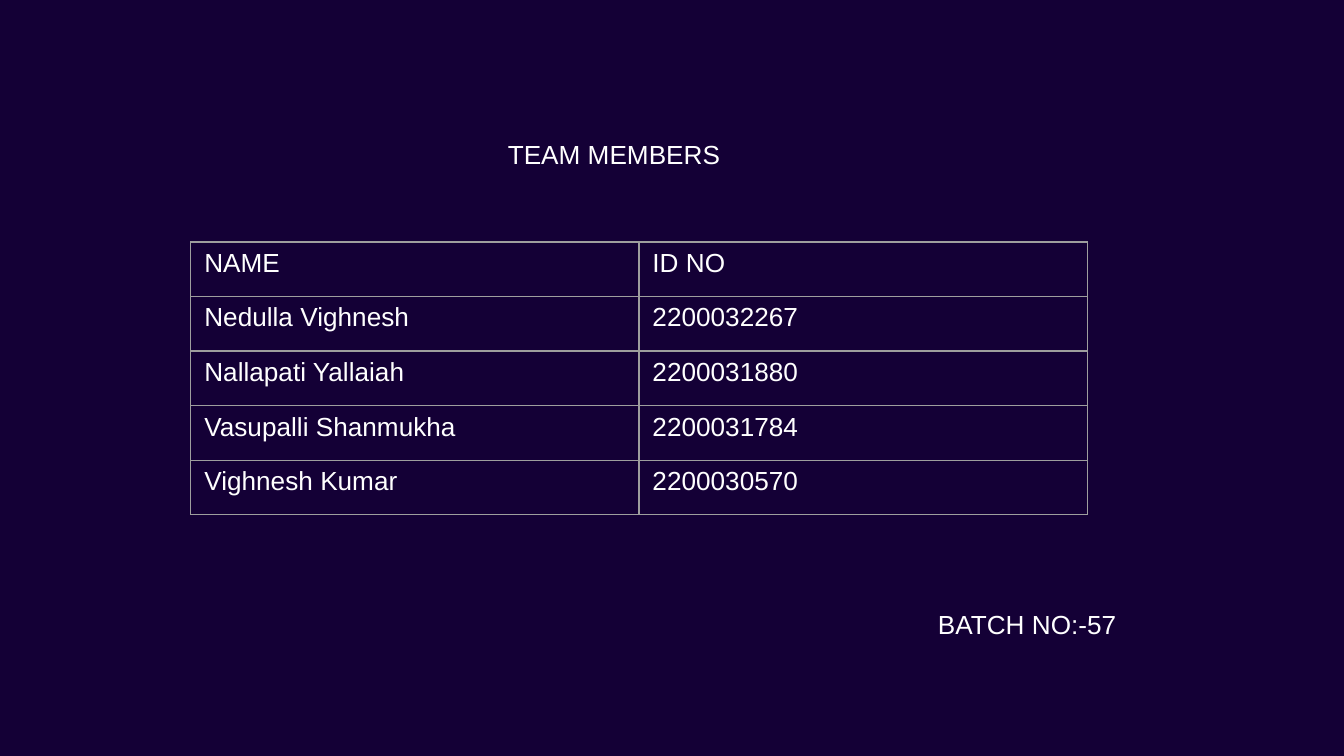
from lxml.etree import SubElement
from pptx import Presentation
from pptx.dml.color import RGBColor
from pptx.enum.text import MSO_AUTO_SIZE
from pptx.oxml.ns import qn
from pptx.util import Inches, Pt

NAVY = RGBColor(0x14, 0x00, 0x36)
WHITE = RGBColor(0xFF, 0xFF, 0xFF)
GREY = RGBColor(0x9E, 0x9E, 0x9E)

MEMBERS = [
    ("NAME", "ID NO"),
    ("Nedulla Vighnesh", "2200032267"),
    ("Nallapati Yallaiah", "2200031880"),
    ("Vasupalli Shanmukha", "2200031784"),
    ("Vighnesh Kumar", "2200030570"),
]


def write(frame, text):
    run = frame.paragraphs[0].add_run()
    run.text = text
    run.font.name = "Arial"
    run.font.size = Pt(14)
    run.font.color.rgb = WHITE


def add_label(slide, text, left, top, width, height):
    box = slide.shapes.add_textbox(
        Inches(left), Inches(top), Inches(width), Inches(height))
    box.text_frame.word_wrap = True
    box.text_frame.auto_size = MSO_AUTO_SIZE.SHAPE_TO_FIT_TEXT
    write(box.text_frame, text)


def outline(cell):
    """Draw a thin grey border on all four sides of a cell."""
    properties = cell._tc.get_or_add_tcPr()
    for side in ("lnL", "lnR", "lnT", "lnB"):
        border = SubElement(properties, qn(f"a:{side}"), w=str(Pt(0.75)))
        fill = SubElement(border, qn("a:solidFill"))
        SubElement(fill, qn("a:srgbClr"), val=str(GREY))


def add_members_table(slide, left, top, width, height):
    table = slide.shapes.add_table(
        len(MEMBERS), len(MEMBERS[0]),
        Inches(left), Inches(top), Inches(width), Inches(height)).table
    table.first_row = False
    table.horz_banding = False
    for row, member in enumerate(MEMBERS):
        for column, text in enumerate(member):
            cell = table.cell(row, column)
            outline(cell)
            cell.fill.background()
            write(cell.text_frame, text)


def main():
    prs = Presentation()
    prs.slide_width = Inches(10)
    prs.slide_height = prs.slide_width * 9 // 16
    slide = prs.slides.add_slide(prs.slide_layouts[6])
    background = slide.background.fill
    background.solid()
    background.fore_color.rgb = NAVY

    add_members_table(slide, 1.42, 1.8, 6.67, 2.03)
    add_label(slide, "BATCH NO:-57", 6.88, 4.48, 2.41, 0.34)
    add_label(slide, "TEAM MEMBERS", 3.68, 0.98, 3.72, 0.34)
    prs.save("out.pptx")


if __name__ == "__main__":
    main()
